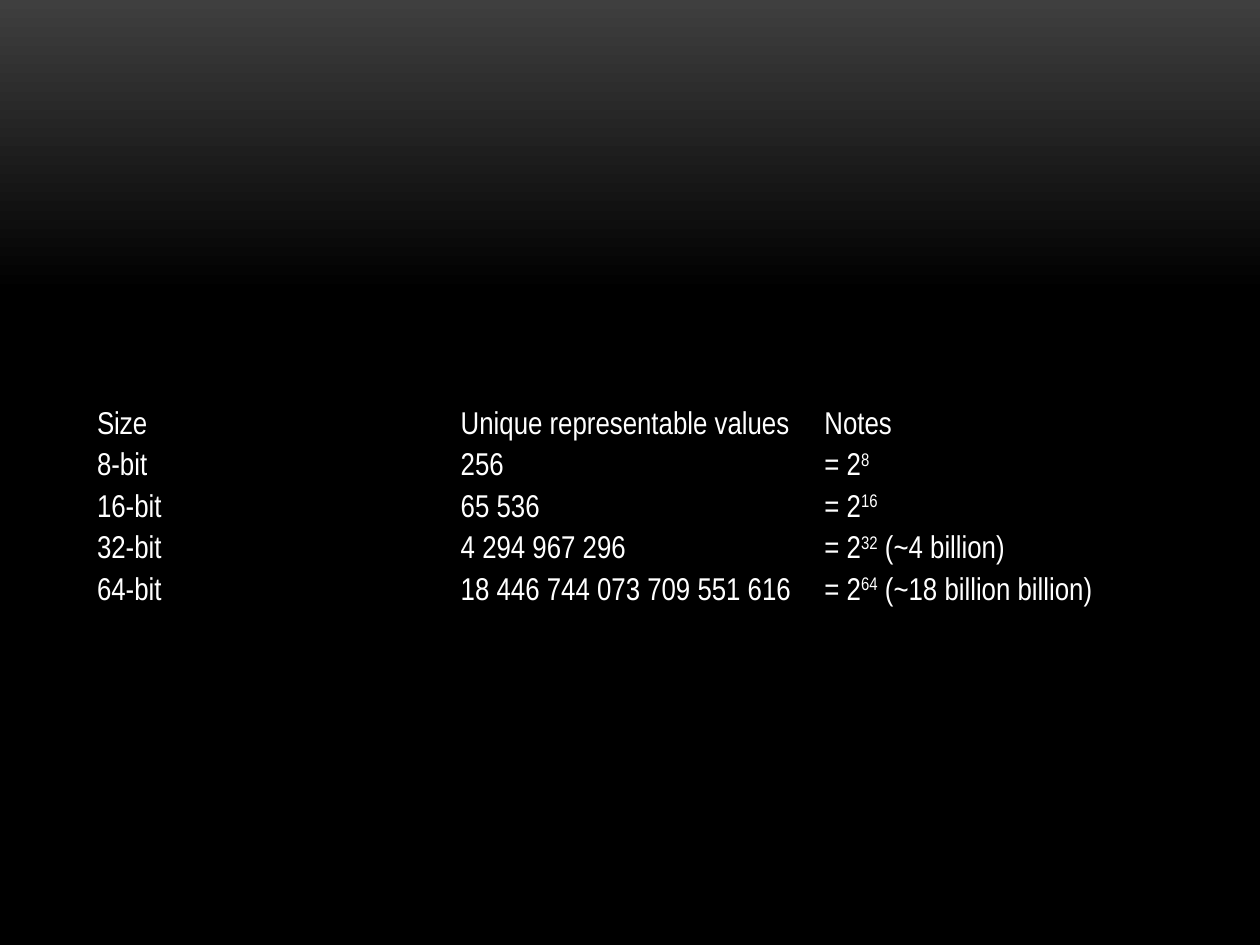
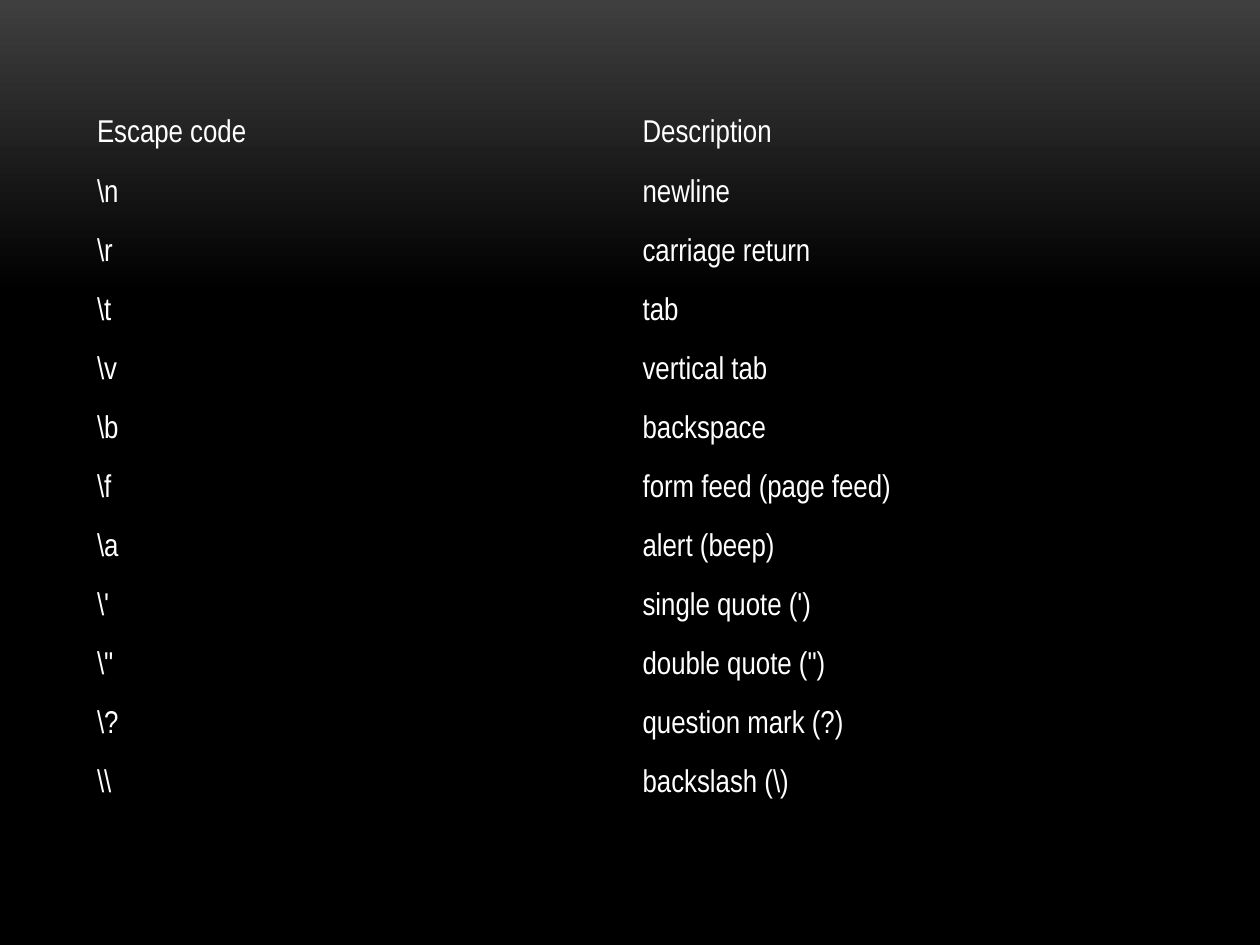
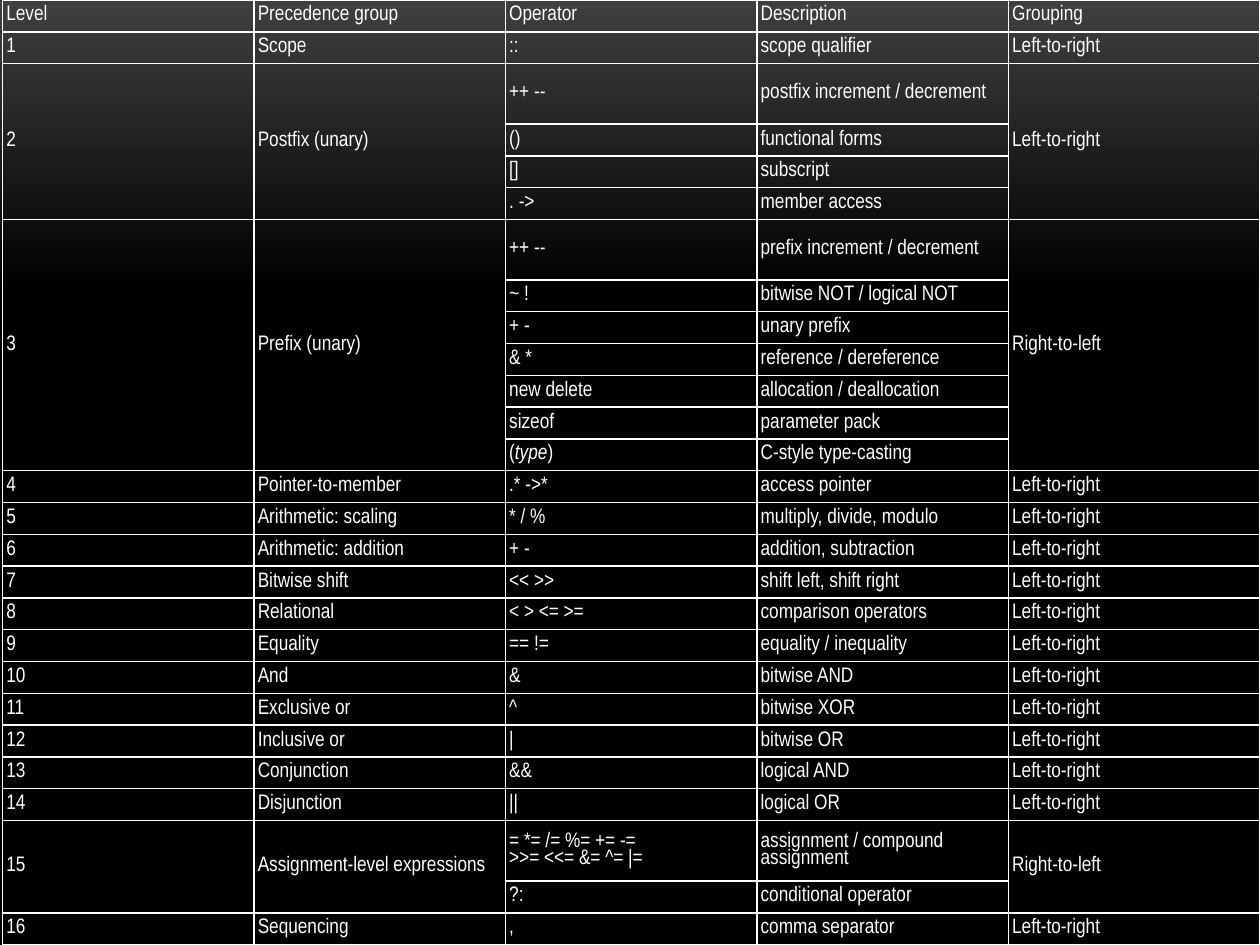
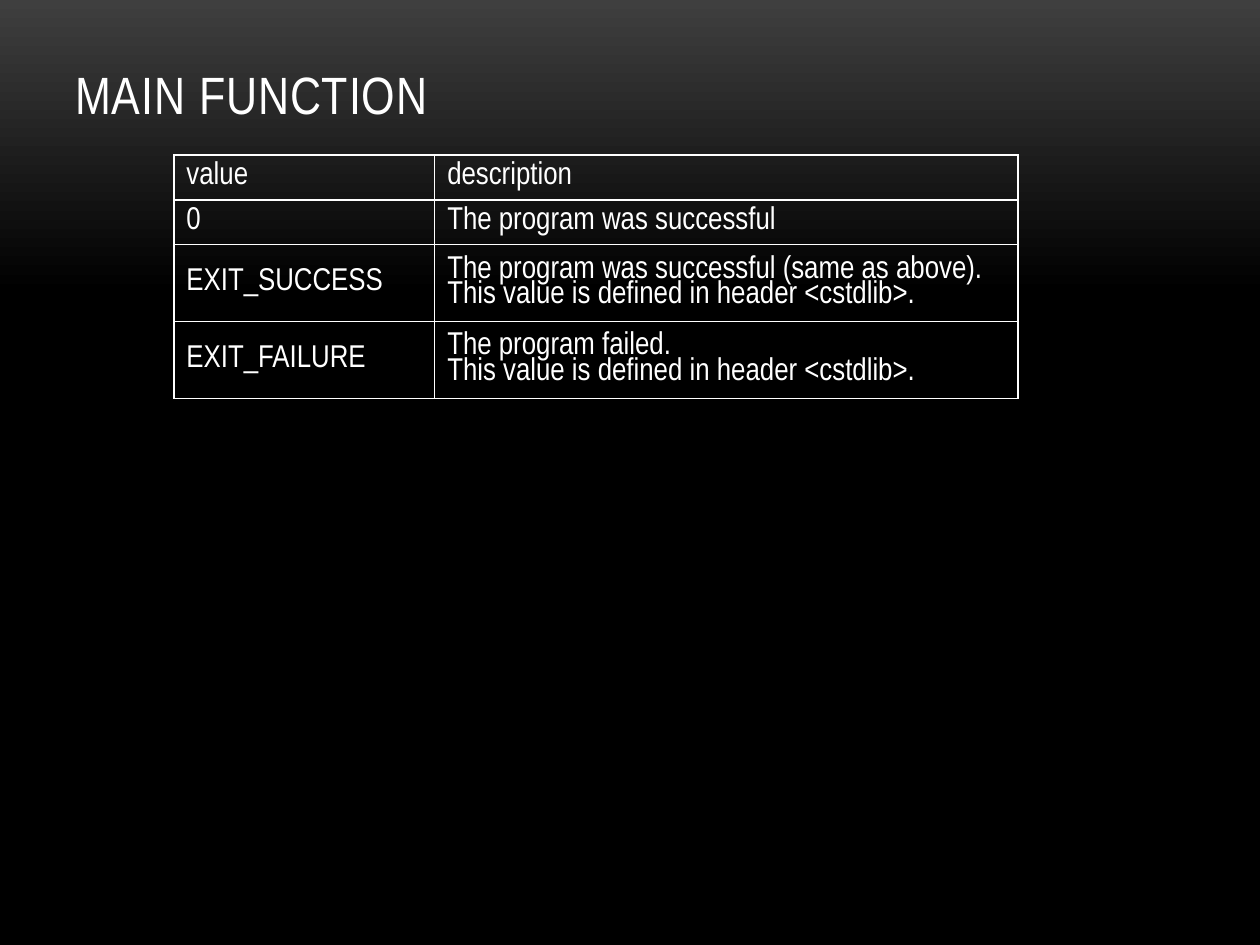
from copy import deepcopy

from lxml import etree
from pptx import Presentation
from pptx.dml.color import RGBColor
from pptx.enum.text import MSO_ANCHOR
from pptx.oxml.ns import qn
from pptx.util import Inches, Pt

MIDDLE = MSO_ANCHOR.MIDDLE
TOP = MSO_ANCHOR.TOP

COLORS = {"text": "FFFFFF", "grid": "FFFFFF", "glow": "3F3F3F", "base": "000000"}
FONT = "Arial Narrow"
WIDTH, HEIGHT = 10, 7.5
LINE_SPACING = 0.85
NO_GRID_STYLE = "{2D5ABB26-0587-4C30-8999-92F81FD0307C}"
EDGES = ("a:lnL", "a:lnR", "a:lnT", "a:lnB")
LTR, RTL = "Left-to-right", "Right-to-left"

INTEGER_SIZES = [
    ("Size", "Unique representable values", "Notes"),
    ("8-bit", "256", [("= 2", ""), ("8", "super")]),
    ("16-bit", "65 536", [("= 2", ""), ("16", "super")]),
    ("32-bit", "4 294 967 296",
     [("= 2", ""), ("32", "super"), (" (~4 billion)", "")]),
    ("64-bit", "18 446 744 073 709 551 616",
     [("= 2", ""), ("64", "super"), (" (~18 billion billion)", "")]),
]

ESCAPE_CODES = [
    ("Escape code", "Description"),
    ("\\n", "newline"),
    ("\\r", "carriage return"),
    ("\\t", "tab"),
    ("\\v", "vertical tab"),
    ("\\b", "backspace"),
    ("\\f", "form feed (page feed)"),
    ("\\a", "alert (beep)"),
    ("\\'", "single quote (')"),
    ('\\"', 'double quote (")'),
    ("\\?", "question mark (?)"),
    ("\\\\", "backslash (\\)"),
]

PRECEDENCE_HEADER = ("Level", "Precedence group", "Operator", "Description", "Grouping")
PRECEDENCE_GROUPS = [
    ("Scope", LTR, [("::", "scope qualifier")]),
    ("Postfix (unary)", LTR, [
        ("++ --", "postfix increment / decrement"),
        ("()", "functional forms"),
        ("[]", "subscript"),
        (". ->", "member access"),
    ]),
    ("Prefix (unary)", RTL, [
        ("++ --", "prefix increment / decrement"),
        ("~ !", "bitwise NOT / logical NOT"),
        ("+ -", "unary prefix"),
        ("& *", "reference / dereference"),
        ("new delete", "allocation / deallocation"),
        ("sizeof", "parameter pack"),
        ([("(", ""), ("type", "italic"), (")", "")], "C-style type-casting"),
    ]),
    ("Pointer-to-member", LTR, [(".* ->*", "access pointer")]),
    ("Arithmetic: scaling", LTR, [("* / %", "multiply, divide, modulo")]),
    ("Arithmetic: addition", LTR, [("+ -", "addition, subtraction")]),
    ("Bitwise shift", LTR, [("<< >>", "shift left, shift right")]),
    ("Relational", LTR, [("< > <= >=", "comparison operators")]),
    ("Equality", LTR, [("== !=", "equality / inequality")]),
    ("And", LTR, [("&", "bitwise AND")]),
    ("Exclusive or", LTR, [("^", "bitwise XOR")]),
    ("Inclusive or", LTR, [("|", "bitwise OR")]),
    ("Conjunction", LTR, [("&&", "logical AND")]),
    ("Disjunction", LTR, [("||", "logical OR")]),
    ("Assignment-level expressions", RTL, [
        ("= *= /= %= += -=\n>>= <<= &= ^= |=", "assignment / compound assignment"),
        ("?:", "conditional operator"),
    ]),
    ("Sequencing", LTR, [(",", "comma separator")]),
]

MAIN_TITLE = "MAIN FUNCTION"
EXIT_VALUES = [
    ("value", "description"),
    ("0", "The program was successful"),
    ("EXIT_SUCCESS", "The program was successful (same as above).\n"
                     "This value is defined in header <cstdlib>."),
    ("EXIT_FAILURE", "The program failed.\nThis value is defined in header <cstdlib>."),
]


def rgb(name):
    return RGBColor.from_string(COLORS[name])


def paint_background(master):
    fill = master.background.fill
    fill.gradient()
    fill.gradient_angle = 270
    glow, base = fill.gradient_stops
    glow.color.rgb, glow.position = rgb("glow"), 0
    base.color.rgb, base.position = rgb("base"), 0.31
    last = list(master.element.iter(qn("a:gs")))[-1]
    end = deepcopy(last)
    end.set("pos", "100000")
    last.addnext(end)


def write(paragraph, content, size):
    paragraph.line_spacing = LINE_SPACING
    if isinstance(content, str):
        paragraph.text = content
    else:
        for text, style in content:
            run = paragraph.add_run()
            run.text = text
            if style == "super":
                run.font._element.set("baseline", "30000")
            elif style == "italic":
                run.font.italic = True
    for run in paragraph.runs:
        run.font.name, run.font.size = FONT, Pt(size)
        run.font.color.rgb = rgb("text")


def set_borders(cell, visible):
    properties = cell._tc.get_or_add_tcPr()
    for position, edge in enumerate(EDGES):
        line = etree.Element(qn(edge), w=str(Pt(1) if visible else 0))
        if visible:
            fill = etree.SubElement(line, qn("a:solidFill"))
            etree.SubElement(fill, qn("a:srgbClr"), val=COLORS["grid"])
        else:
            etree.SubElement(line, qn("a:noFill"))
        properties.insert(position, line)


def add_grid(slide, records, at, columns, rows, size=18, bordered=False,
             insets=(0.1, 0.05), merges=()):
    frame = slide.shapes.add_table(len(records), len(columns), *map(Inches, at))
    table = frame.table
    table.first_row = table.horz_banding = False
    table._tbl.tblPr.find(qn("a:tableStyleId")).text = NO_GRID_STYLE
    for column, width in zip(table.columns, columns):
        column.width = Inches(width)
    for row, height in zip(table.rows, rows):
        row.height = Inches(height)
    for first, last, column in merges:
        table.cell(first, column).merge(table.cell(last, column))
    for r, record in enumerate(records):
        for c, content in enumerate(record):
            cell = table.cell(r, c)
            cell.margin_left = cell.margin_right = Inches(insets[0])
            cell.margin_top = cell.margin_bottom = Inches(insets[1])
            cell.vertical_anchor = MIDDLE
            cell.fill.background()
            if not cell.is_spanned:
                set_borders(cell, bordered)
                write(cell.text_frame.paragraphs[0], content, size)


def add_title(slide, text):
    box = slide.shapes.add_textbox(*map(Inches, (0.5, 0.39, WIDTH - 1, 1.25)))
    frame = box.text_frame
    frame.word_wrap = True
    frame.vertical_anchor = TOP
    frame.margin_top = Inches(0.1)
    paragraph = frame.paragraphs[0]
    write(paragraph, text, 30)
    paragraph.line_spacing = 1.0
    paragraph.runs[0].font._element.set("spc", "50")


def precedence_rows():
    records, merges = [PRECEDENCE_HEADER], []
    for level, (group, grouping, operators) in enumerate(PRECEDENCE_GROUPS, 1):
        first = len(records)
        for operator, description in operators:
            records.append((str(level), group, operator, description, grouping))
        if len(operators) > 1:
            merges += [(first, len(records) - 1, column) for column in (0, 1, 4)]
    return records, merges


def precedence_heights(records, tall=0.48, longest_line=26):
    wraps = [len(record[3]) > longest_line for record in records]
    short = (HEIGHT - tall * sum(wraps)) / (len(wraps) - sum(wraps))
    return [tall if wrap else short for wrap in wraps]


prs = Presentation()
prs.slide_width, prs.slide_height = Inches(WIDTH), Inches(HEIGHT)
paint_background(prs.slide_master)
sizes, escapes, precedence, main = [
    prs.slides.add_slide(prs.slide_layouts[6]) for _ in range(4)]

margin = 0.67
body = WIDTH - 2 * margin
add_grid(sizes, INTEGER_SIZES, (margin, 3.22, body, 2),
         [body / 3] * 3, [0.33] * len(INTEGER_SIZES))

add_grid(escapes, ESCAPE_CODES, (margin, 0.84, body, 5.63),
         [body / 2] * 2, [5.63 / len(ESCAPE_CODES)] * len(ESCAPE_CODES))

operators, operator_merges = precedence_rows()
left = 0.02
add_grid(precedence, operators, (left, 0, WIDTH - left, HEIGHT),
         [(WIDTH - left) / 5] * 5, precedence_heights(operators), size=12,
         bordered=True, insets=(0.03, 0.02), merges=operator_merges)

add_title(main, MAIN_TITLE)
add_grid(main, EXIT_VALUES, (1.38, 1.23, 6.7, 2.2), [2.07, 4.63],
         [0.57 if "\n" in meaning else 0.33 for _, meaning in EXIT_VALUES],
         bordered=True)

prs.save("out.pptx")
